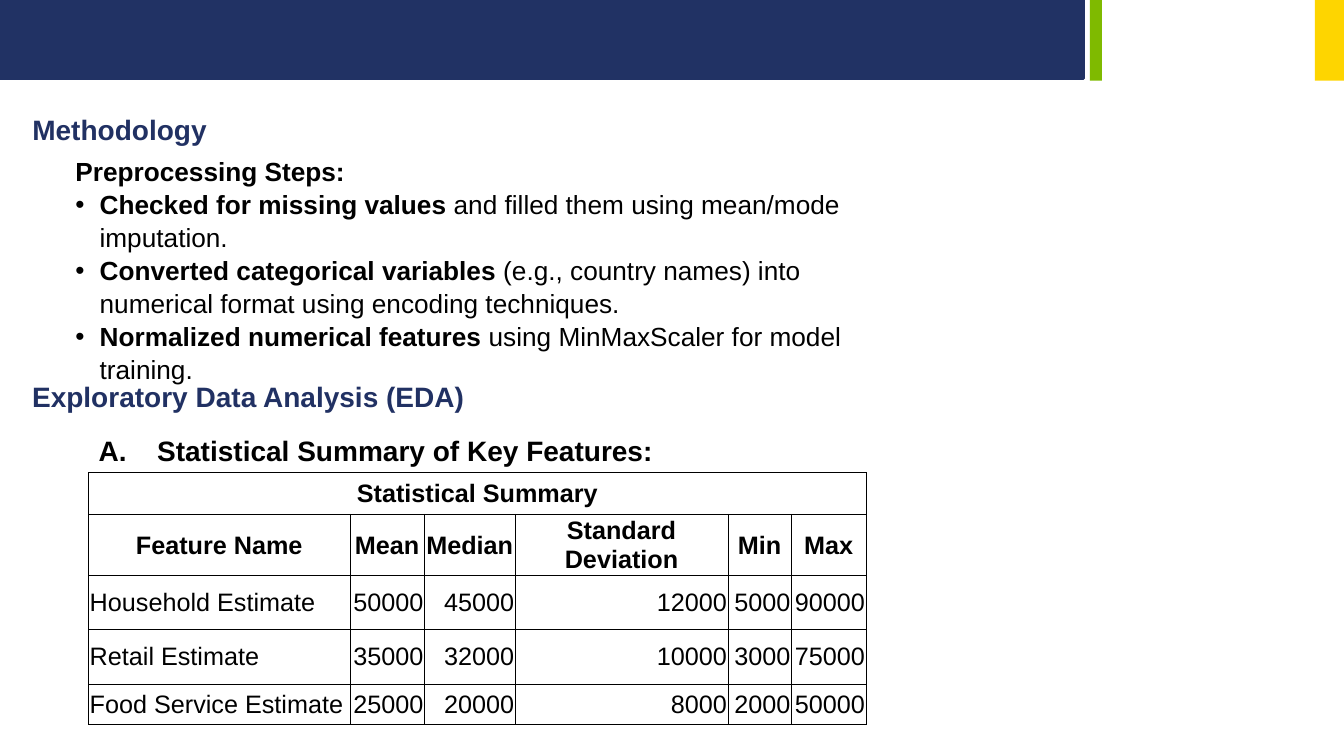
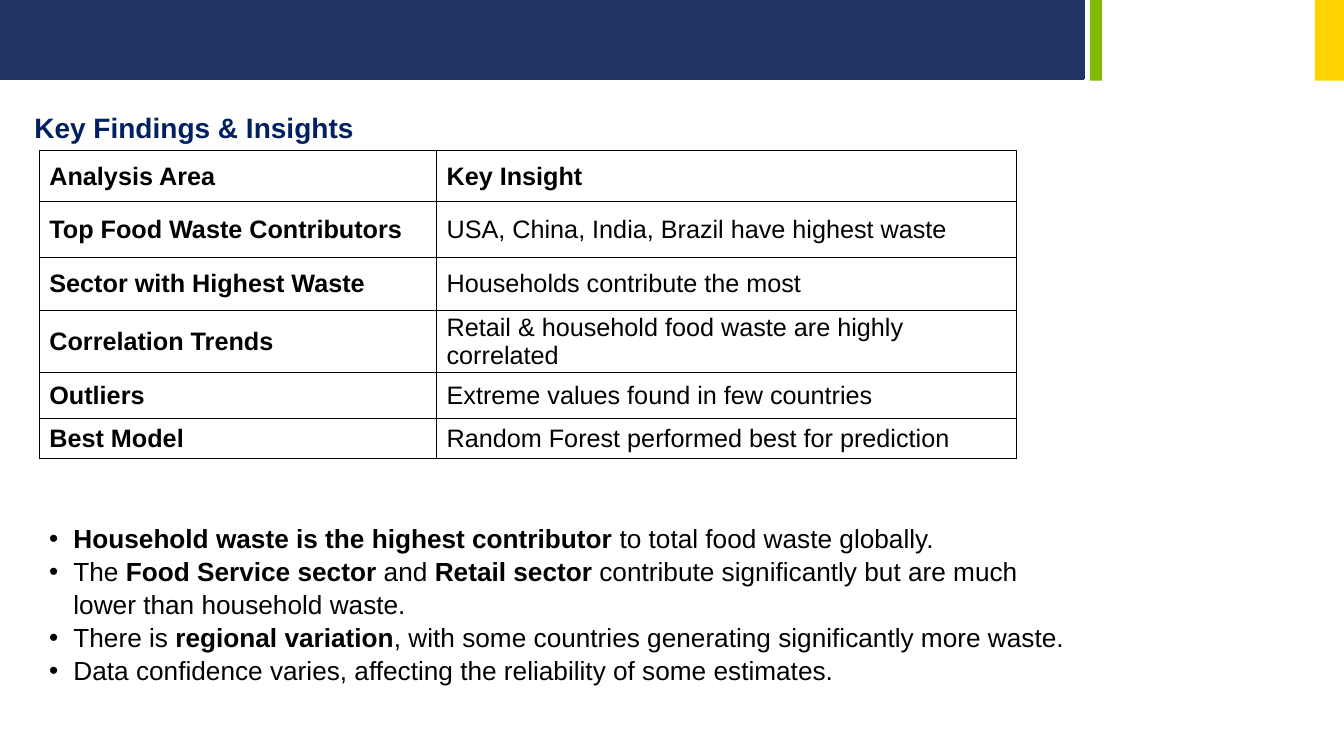
"""Build two slides on food waste: method and statistics, then key findings."""
from lxml import etree
from pptx import Presentation
from pptx.dml.color import RGBColor
from pptx.enum.shapes import MSO_SHAPE
from pptx.enum.text import MSO_ANCHOR, MSO_AUTO_SIZE, PP_ALIGN
from pptx.oxml.ns import qn
from pptx.util import Inches, Pt

RECTANGLE = MSO_SHAPE.RECTANGLE
LEFT, CENTER, RIGHT = PP_ALIGN.LEFT, PP_ALIGN.CENTER, PP_ALIGN.RIGHT
TOP, MIDDLE = MSO_ANCHOR.TOP, MSO_ANCHOR.MIDDLE
FIXED_SIZE = MSO_AUTO_SIZE.NONE

COLORS = {
    "band": "213264",
    "green": "7FBA00",
    "yellow": "FED500",
    "heading": "213163",
    "findings": "002060",
    "text": "000000",
}
FONT = "Arial"
HEADING_SIZE, BODY_SIZE, TABLE_SIZE = 20, 18.7, 18
BODY_SPACING = 1.05
BULLET_INDENT, LETTER_INDENT = 0.24, 0.58
TITLE_ONLY = 5

BANDS = [
    (0, 10.75, 0.78, "band", 2),
    (10.81, 0.12, 0.8, "green", 0),
    (13.04, 0.29, 0.8, "yellow", 0),
]

STEPS_HEADING = [("Preprocessing Steps:", True)]
STEPS = [
    [("Checked for missing values", True),
     (" and filled them using mean/mode imputation.", False)],
    [("Converted categorical variables", True),
     (" (e.g., country names) into numerical format using encoding techniques.", False)],
    [("Normalized numerical features", True),
     (" using MinMaxScaler for model training.", False)],
]
SUMMARY = [
    ["Statistical Summary", "", "", "", "", ""],
    ["Feature Name", "Mean", "Median", "Standard Deviation", "Min", "Max"],
    ["Household Estimate", "50000", "45000", "12000", "5000", "90000"],
    ["Retail Estimate", "35000", "32000", "10000", "3000", "75000"],
    ["Food Service Estimate", "25000", "20000", "8000", "2000", "50000"],
]
SUMMARY_COLUMNS = [2.59, 0.74, 0.9, 2.11, 0.63, 0.74]
SUMMARY_ROWS = [0.41, 0.61, 0.53, 0.55, 0.4]

INSIGHTS = [
    ["Analysis Area", "Key Insight"],
    ["Top Food Waste Contributors", "USA, China, India, Brazil have highest waste"],
    ["Sector with Highest Waste", "Households contribute the most"],
    ["Correlation Trends", "Retail & household food waste are highly correlated"],
    ["Outliers", "Extreme values found in few countries"],
    ["Best Model", "Random Forest performed best for prediction"],
]
INSIGHT_COLUMNS = [3.94, 5.75]
INSIGHT_ROWS = [0.51, 0.55, 0.53, 0.61, 0.46, 0.4]
CONCLUSIONS = [
    [("Household waste is the highest contributor", True),
     (" to total food waste globally.", False)],
    [("The ", False), ("Food Service sector", True), (" and ", False),
     ("Retail sector", True),
     (" contribute significantly but are much lower than household waste.", False)],
    [("There is ", False), ("regional variation", True),
     (", with some countries generating significantly more waste.", False)],
    [("Data confidence varies, affecting the reliability of some estimates.", False)],
]


def rgb(name):
    return RGBColor.from_string(COLORS[name])


def write(paragraph, runs, size, color="text", align=LEFT):
    paragraph.alignment = align
    for text, bold in runs:
        run = paragraph.add_run()
        run.text = text
        run.font.name = FONT
        run.font.size = Pt(size)
        run.font.bold = bold
        run.font.color.rgb = rgb(color)


def add_marker(paragraph, indent, tag, **attributes):
    properties = paragraph._p.get_or_add_pPr()
    properties.set("marL", str(Inches(indent)))
    properties.set("indent", str(-Inches(indent)))
    etree.SubElement(properties, qn("a:buFont"), typeface=FONT)
    etree.SubElement(properties, qn(tag), **attributes)


def place(shape, left, top, width, height):
    shape.left, shape.top = Inches(left), Inches(top)
    shape.width, shape.height = Inches(width), Inches(height)


def prepare(frame, anchor):
    frame.word_wrap = True
    frame.auto_size = FIXED_SIZE
    frame.vertical_anchor = anchor
    return frame


def new_slide(deck, title, box, color):
    slide = deck.slides.add_slide(deck.slide_layouts[TITLE_ONLY])
    for left, width, height, fill, outline in BANDS:
        band = slide.shapes.add_shape(
            RECTANGLE, Inches(left), 0, Inches(width), Inches(height))
        band.shadow.inherit = False
        band.fill.solid()
        band.fill.fore_color.rgb = rgb(fill)
        if outline:
            band.line.color.rgb = rgb(fill)
            band.line.width = Pt(outline)
        else:
            band.line.fill.background()
    place(slide.shapes.title, *box)
    frame = prepare(slide.shapes.title.text_frame, MIDDLE)
    write(frame.paragraphs[0], [(title, True)], HEADING_SIZE, color)
    return slide


def add_text(slide, box):
    return prepare(slide.shapes.add_textbox(*map(Inches, box)).text_frame, TOP)


def add_heading(slide, text, box, color):
    paragraph = add_text(slide, box).paragraphs[0]
    write(paragraph, [(text, True)], HEADING_SIZE, color)
    return paragraph


def add_bullets(slide, bullets, box, lead=None):
    frame = add_text(slide, box)
    lines = ([lead] if lead else []) + bullets
    for index, runs in enumerate(lines):
        paragraph = frame.add_paragraph() if index else frame.paragraphs[0]
        paragraph.line_spacing = BODY_SPACING
        write(paragraph, runs, BODY_SIZE)
        if runs is not lead:
            add_marker(paragraph, BULLET_INDENT, "a:buChar", char="•")


def add_borders(cell):
    properties = cell._tc.get_or_add_tcPr()
    for side in ("a:lnL", "a:lnR", "a:lnT", "a:lnB"):
        border = etree.SubElement(properties, qn(side), w=str(Pt(0.5)))
        fill = etree.SubElement(border, qn("a:solidFill"))
        etree.SubElement(fill, qn("a:srgbClr"), val=COLORS["text"])


def add_grid(slide, rows, left, top, widths, heights, left_inset, style):
    table = slide.shapes.add_table(
        len(rows), len(widths), Inches(left), Inches(top),
        Inches(sum(widths)), Inches(sum(heights))).table
    table.first_row = table.horz_banding = False
    for column, width in zip(table.columns, widths):
        column.width = Inches(width)
    for r, (texts, height) in enumerate(zip(rows, heights)):
        table.rows[r].height = Inches(height)
        for c, text in enumerate(texts):
            cell = table.cell(r, c)
            add_borders(cell)
            cell.fill.background()
            cell.vertical_anchor = MIDDLE
            cell.margin_left = Inches(left_inset)
            cell.margin_right = cell.margin_top = Inches(0.01)
            cell.margin_bottom = 0
            if text:
                bold, align = style(r, c)
                write(cell.text_frame.paragraphs[0], [(text, bold)], TABLE_SIZE, align=align)
    return table


def summary_style(row, column):
    if row < 2:
        return True, CENTER
    return False, RIGHT if column else LEFT


def insight_style(row, column):
    return row == 0 or column == 0, LEFT


def build_methodology(deck):
    slide = new_slide(deck, "Methodology", (0.22, 1.06, 6.46, 0.44), "heading")
    add_bullets(slide, STEPS, (0.65, 1.48, 8.16, 2.3), STEPS_HEADING)
    add_heading(slide, "Exploratory Data Analysis (EDA)",
                (0.22, 3.72, 6.46, 0.44), "heading")
    subheading = add_heading(slide, "Statistical Summary of Key Features:",
                             (0.88, 4.25, 6.68, 0.44), "text")
    add_marker(subheading, LETTER_INDENT, "a:buAutoNum", type="alphaUcPeriod")
    table = add_grid(slide, SUMMARY, 0.88, 4.69, SUMMARY_COLUMNS, SUMMARY_ROWS,
                     0.01, summary_style)
    table.cell(0, 0).merge(table.cell(0, len(SUMMARY_COLUMNS) - 1))


def build_findings(deck):
    slide = new_slide(deck, "Key Findings & Insights", (0.24, 1.04, 3.5, 0.44), "findings")
    add_grid(slide, INSIGHTS, 0.39, 1.49, INSIGHT_COLUMNS, INSIGHT_ROWS,
             0.1, insight_style)
    add_bullets(slide, CONCLUSIONS, (0.39, 5.12, 10.4, 1.68))


def main():
    deck = Presentation()
    deck.slide_width, deck.slide_height = Inches(13.33), Inches(7.5)
    build_methodology(deck)
    build_findings(deck)
    deck.save("out.pptx")


if __name__ == "__main__":
    main()
